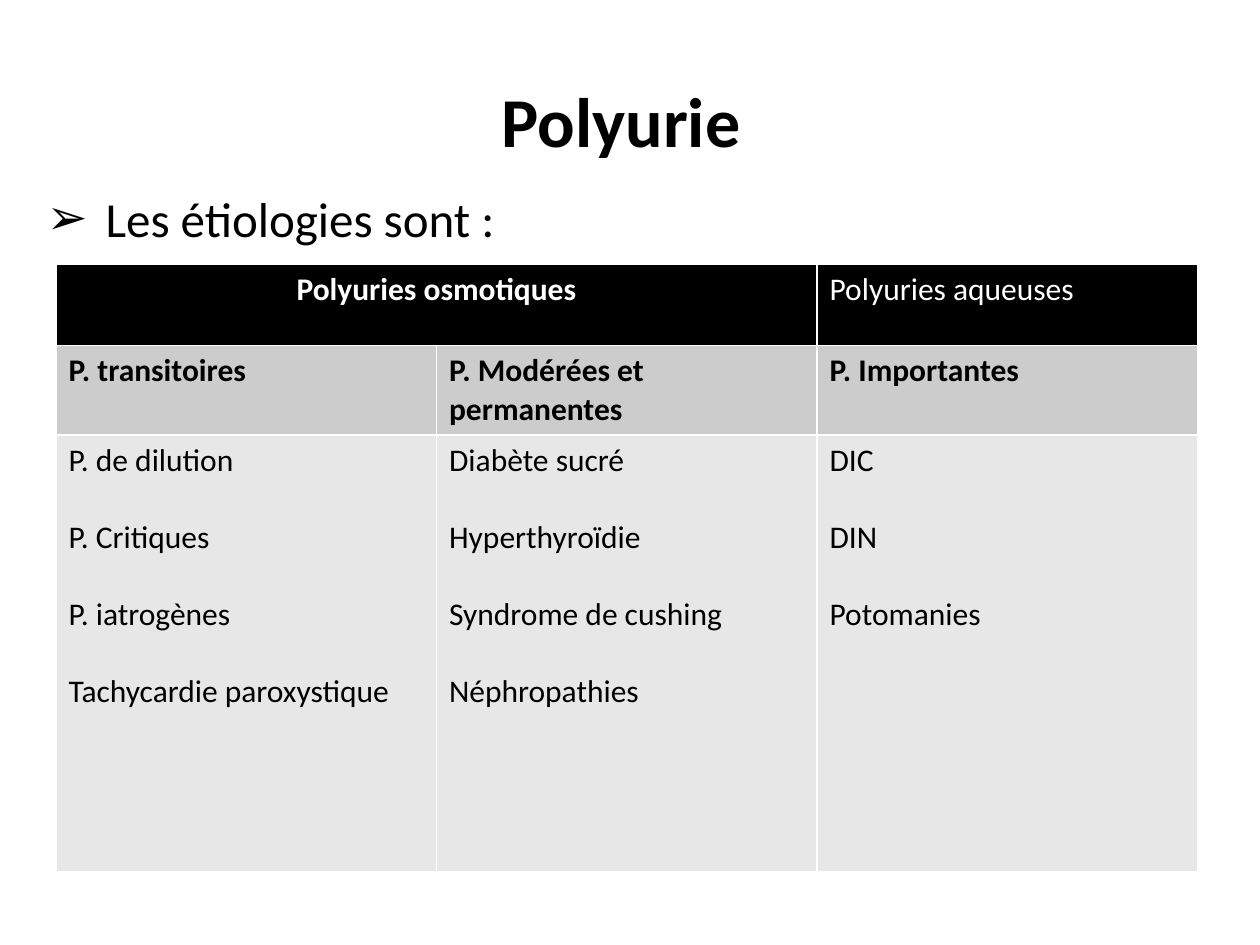
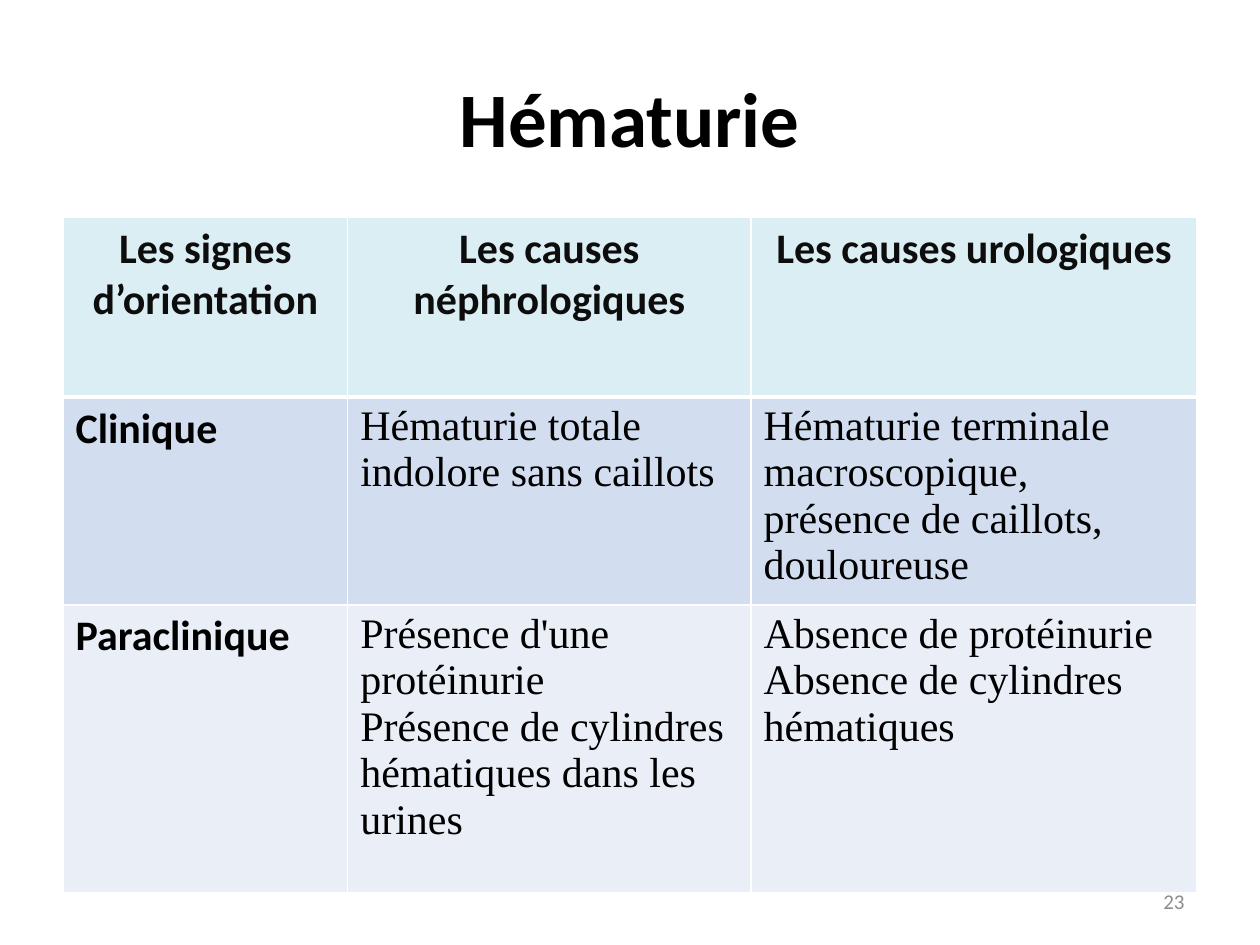
import pptx
import pptx.dml.color
import pptx.enum.text
import pptx.oxml.ns
import pptx.util
import lxml.etree

Cm = pptx.util.Cm
Pt = pptx.util.Pt
ALIGN = pptx.enum.text.PP_ALIGN
ANCHOR = pptx.enum.text.MSO_ANCHOR
qn = pptx.oxml.ns.qn

BLACK, WHITE, GREY = "000000", "FFFFFF", "8C8C8C"
SANS, SERIF = "Calibri", "Times New Roman"


def color(value):
    return pptx.dml.color.RGBColor.from_string(value)


def write(frame, text, size=18, font=SANS, ink=BLACK, bold=False, align=ALIGN.LEFT, gap=0):
    """Fill a text frame, one paragraph for each line of text."""
    frame.word_wrap = True
    for index, line in enumerate(text.split("\n")):
        paragraph = frame.paragraphs[0] if index == 0 else frame.add_paragraph()
        paragraph.alignment = align
        paragraph.space_after = Pt(gap)
        run = paragraph.add_run()
        run.text = line
        run.font.size = Pt(size)
        run.font.name = font
        run.font.bold = bold
        run.font.color.rgb = color(ink)


class Deck:
    """Shared style and the current slide."""

    def __init__(self):
        self.presentation = pptx.Presentation()
        self.presentation.slide_width = Cm(25.4)
        self.presentation.slide_height = Cm(19.05)
        self.slide = None

    def add_slide(self):
        self.slide = self.presentation.slides.add_slide(self.presentation.slide_layouts[6])

    def text(self, text, left, top, width, height, anchor=ANCHOR.TOP, **text_format):
        shape = self.slide.shapes.add_textbox(Cm(left), Cm(top), Cm(width), Cm(height))
        shape.text_frame.vertical_anchor = anchor
        write(shape.text_frame, text, **text_format)
        return shape

    def title(self, text, size=44, left=1.27, top=0.76):
        self.text(text, left, top, 22.86, 3.17, ANCHOR.MIDDLE,
                  size=size, bold=True, align=ALIGN.CENTER)

    def bullet(self, text, left, top, width, height, size=28, indent=1.19):
        shape = self.text(text, left, top, width, height, size=size)
        properties = shape.text_frame.paragraphs[0]._p.get_or_add_pPr()
        properties.set("marL", str(Cm(indent)))
        properties.set("indent", str(-Cm(indent)))
        lxml.etree.SubElement(properties, qn("a:buFont")).set("typeface", SANS)
        lxml.etree.SubElement(properties, qn("a:buChar")).set("char", "➢")

    def page_number(self, number):
        self.text(str(number), 18.21, 17.65, 5.92, 1.02, ANCHOR.MIDDLE,
                  size=12, ink=GREY, align=ALIGN.RIGHT)

    def table(self, left, top, widths, heights):
        frame = self.slide.shapes.add_table(len(heights), len(widths), Cm(left), Cm(top),
                                            Cm(sum(widths)), Cm(sum(heights)))
        table = frame.table
        table.first_row = table.horz_banding = False
        for column, width in zip(table.columns, widths):
            column.width = Cm(width)
        for row, height in zip(table.rows, heights):
            row.height = Cm(height)
        return table

    def cell(self, cell, text, fill, top_line=1, bottom_line=1, **text_format):
        properties = cell._tc.get_or_add_tcPr()
        lines = {"L": 1, "R": 1, "T": top_line, "B": bottom_line}
        for side, width in lines.items():
            line = lxml.etree.SubElement(properties, qn("a:ln" + side), w=str(Pt(width)))
            solid = lxml.etree.SubElement(line, qn("a:solidFill"))
            lxml.etree.SubElement(solid, qn("a:srgbClr"), val=WHITE)
        cell.fill.solid()
        cell.fill.fore_color.rgb = color(fill)
        if text:
            write(cell.text_frame, text, **text_format)


def polyuria_slide(deck):
    deck.add_slide()
    deck.title("Polyurie", size=40, left=1.09, top=0.83)
    deck.bullet("Les étiologies sont :", 0.69, 3.68, 23.44, 1.5)

    table = deck.table(1.13, 5.33, [7.67] * 3, [1.63, 1.81, 8.81])
    # Header, with the osmotic group over two columns
    table.cell(0, 0).merge(table.cell(0, 1))
    deck.cell(table.cell(0, 0), "Polyuries osmotiques", BLACK,
              ink=WHITE, bold=True, align=ALIGN.CENTER)
    deck.cell(table.cell(0, 1), "", BLACK)
    deck.cell(table.cell(0, 2), "Polyuries aqueuses", BLACK, ink=WHITE)

    # Types and their causes
    causes = {
        "P. transitoires":
            "P. de dilution\nP. Critiques\nP. iatrogènes\nTachycardie paroxystique",
        "P. Modérées et permanentes":
            "Diabète sucré\nHyperthyroïdie\nSyndrome de cushing\nNéphropathies",
        "P. Importantes": "DIC\nDIN\nPotomanies",
    }
    for column, (kind, names) in enumerate(causes.items()):
        deck.cell(table.cell(1, column), kind, "CCCCCC", bold=True)
        deck.cell(table.cell(2, column), names, "E7E7E7", gap=22)


def hematuria_slide(deck):
    deck.add_slide()
    deck.title("Hématurie")

    table = deck.table(1.27, 4.38, [5.74, 8.13, 8.99], [3.62, 4, 5.8])
    headings = ["Les signes d’orientation", "Les causes néphrologiques", "Les causes urologiques"]
    for column, heading in enumerate(headings):
        deck.cell(table.cell(0, column), heading, "DBEEF4", bottom_line=3,
                  size=24, ink="0D0D0D", bold=True, align=ALIGN.CENTER)

    # Signs: row label in bold, findings in serif
    signs = [
        ("D2DEEF", 3, ["Clinique",
                       "Hématurie totale indolore sans caillots",
                       "Hématurie terminale macroscopique, présence de caillots, douloureuse"]),
        ("EAEFF7", 1, ["Paraclinique",
                       "Présence d'une protéinurie\n"
                       "Présence de cylindres hématiques dans les urines",
                       "Absence de protéinurie\nAbsence de cylindres hématiques"]),
    ]
    for row, (fill, top_line, texts) in enumerate(signs, start=1):
        for column, text in enumerate(texts):
            is_label = column == 0
            cell = table.cell(row, column)
            # The text fills the row, so no margin is kept below it
            cell.margin_bottom = Cm(0)
            deck.cell(cell, text, fill, top_line=top_line, size=24,
                      font=SANS if is_label else SERIF, bold=is_label)

    deck.page_number(23)


def main():
    deck = Deck()
    polyuria_slide(deck)
    hematuria_slide(deck)
    deck.presentation.save("out.pptx")


if __name__ == "__main__":
    main()
